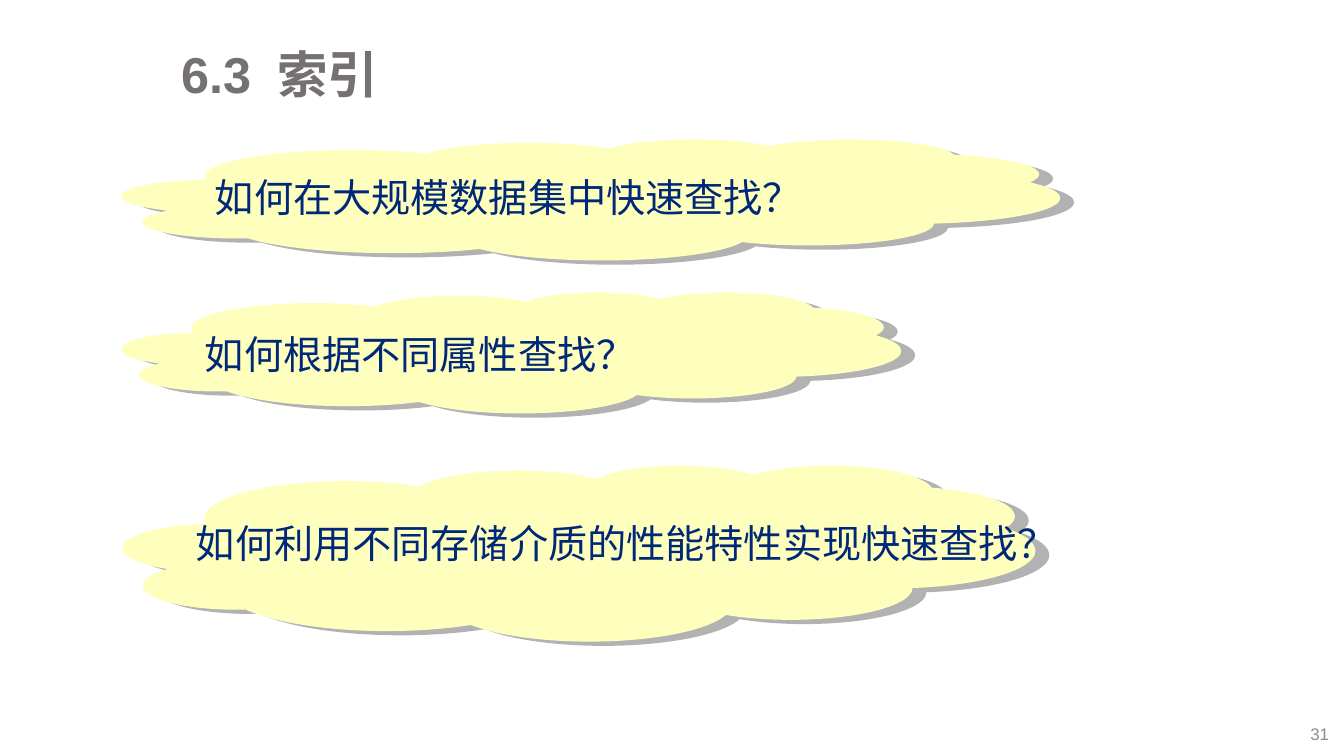
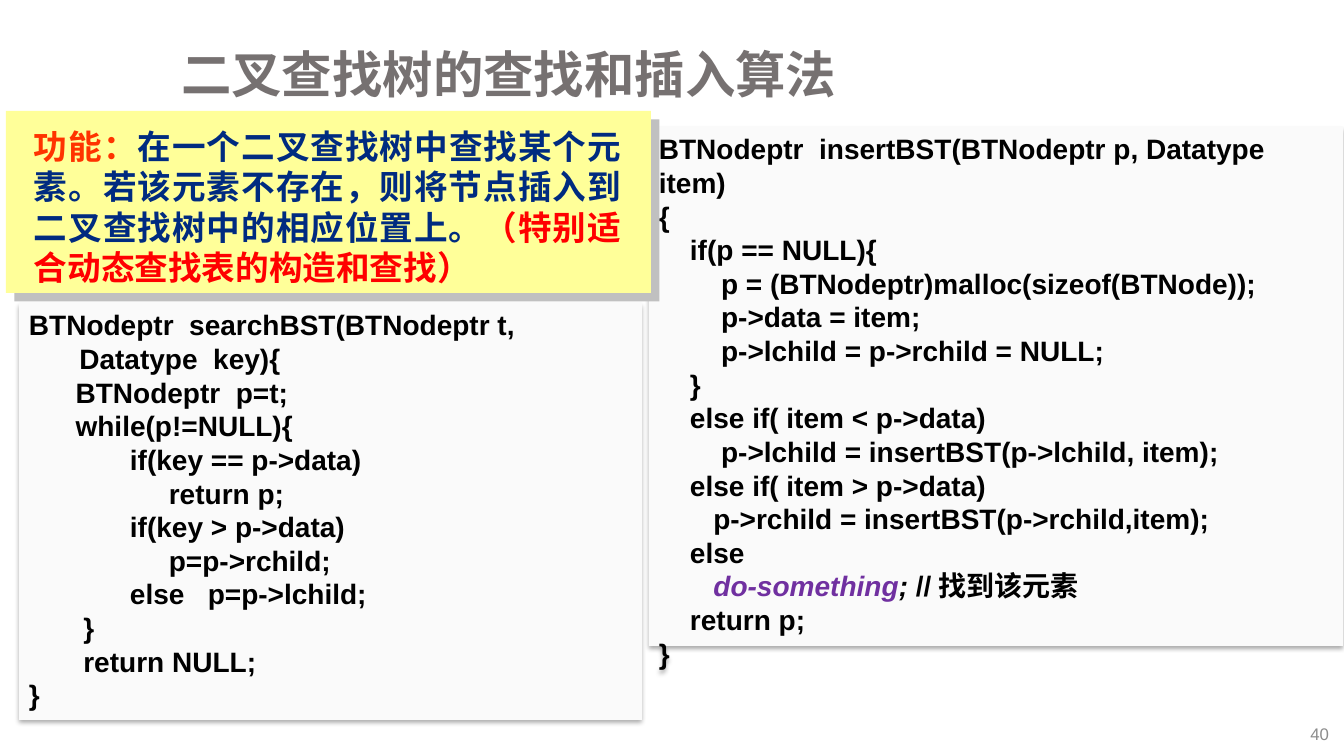
import pptx
import pptx.util
import pptx.dml.color
import pptx.enum.shapes
import pptx.enum.text
import pptx.oxml.ns
import lxml.etree

RGB = pptx.dml.color.RGBColor
SHAPE = pptx.enum.shapes.MSO_SHAPE
ALIGN = pptx.enum.text.PP_ALIGN
ANCHOR = pptx.enum.text.MSO_ANCHOR
qn = pptx.oxml.ns.qn

# Scale, colours and fonts
EMU_PER_PX = 914400 / 100.8
TITLE_GREY = RGB(0x76, 0x71, 0x71)
NUMBER_GREY = RGB(0x8C, 0x8C, 0x8C)
NAVY = RGB(0x00, 0x28, 0x78)
DEEP_BLUE = RGB(0x00, 0x2B, 0x80)
ORANGE = RGB(0xFF, 0x33, 0x00)
RED = RGB(0xFF, 0x00, 0x00)
PURPLE = RGB(0x70, 0x30, 0xA0)
BLACK = RGB(0x00, 0x00, 0x00)
CLOUD_YELLOW = RGB(0xFF, 0xFF, 0xBD)
NOTE_YELLOW = RGB(0xFF, 0xFF, 0x99)
CODE_GREY = RGB(0xFA, 0xFA, 0xFA)
LATIN = "Arial"
CJK = "Noto Sans CJK SC"

# Shadows: colour, opacity %, blur pt, distance pt, direction in degrees
CLOUD_SHADOW = ("B2B2B2", 100, 0, 10.4, 17)
NOTE_SHADOW = ("C0C0C0", 100, 0, 8.5, 45)
CODE_SHADOW = ("000000", 32, 3.5, 2.2, 90)

# Shared places: left, top, width, height in px
TITLE_AREA = (171, 34, 1134, 86)
NUMBER_AREA = (1037, 718, 302, 31)

# Slide content
QUESTIONS = [  # text, cloud area, text area
    ("如何在大规模数据集中快速查找？", (122, 139, 938, 121), (205, 168, 831, 57)),
    ("如何根据不同属性查找？", (122, 292, 779, 121), (195, 325, 730, 57)),
    ("如何利用不同存储介质的性能特性实现快速查找？",
     (123, 465, 912, 176), (186, 514, 867, 57)),
]

NOTE_AREA = (6, 111, 645, 182)
NOTE_TEXT_AREA = (24, 121, 607, 173)
NOTE = [  # text, colour, italic
    ("功能：", ORANGE, False),
    ("在一个二叉查找树中查找某个元素。若该元素不存在，则将节点插入到二叉查找树中的相应位置上。",
     DEEP_BLUE, False),
    ("（特别适合动态查找表的构造和查找）", RED, False),
]

SEARCH_AREA = (19, 303, 623, 417)
SEARCH_CODE = [
    "BTNodeptr  searchBST(BTNodeptr t,\n\tDatatype  key){",
    "      BTNodeptr  p=t;",
    "      while(p!=NULL){",
    "             if(key == p->data)",
    "                  return p;",
    "             if(key > p->data)",
    "                  p=p->rchild;",
    "             else   p=p->lchild;",
    "       }",
    "       return NULL;",
    "}",
]

INSERT_AREA = (649, 127, 694, 519)
INSERT_CODE = [
    "BTNodeptr  insertBST(BTNodeptr p, Datatype item)",
    "{",
    "    if(p == NULL){",
    "        p = (BTNodeptr)malloc(sizeof(BTNode));",
    "        p->data = item;",
    "        p->lchild = p->rchild = NULL;",
    "    }",
    "    else if( item < p->data)",
    "        p->lchild = insertBST(p->lchild, item);",
    "    else if( item > p->data)",
    "       p->rchild = insertBST(p->rchild,item);",
    "    else",
    [("       ", PURPLE, False), ("do-something", PURPLE, True),
     (";", BLACK, True), (" //找到该元素", BLACK, False)],
    "    return p;",
    "}",
]


def px(area):
    return [round(length * EMU_PER_PX) for length in area]


def write(frame, lines, size, color, font=LATIN, bold=False,
          align=ALIGN.LEFT, anchor=ANCHOR.TOP):
    """Fill a frame; a line is a string or a list of spans."""
    frame.word_wrap = True
    frame.vertical_anchor = anchor
    for index, line in enumerate(lines):
        para = frame.paragraphs[0] if index == 0 else frame.add_paragraph()
        para.alignment = align
        para.font.name = font
        para.font.size = pptx.util.Pt(size)
        para.font.bold = bold
        para.font.color.rgb = color
        east_asian = lxml.etree.Element(qn("a:ea"), typeface=CJK)
        para._p.pPr.find(qn("a:defRPr")).find(qn("a:latin")).addnext(east_asian)
        if isinstance(line, str):
            para.text = line
            continue
        for text, span_color, italic in line:
            span = para.add_run()
            span.text = text
            span.font.color.rgb = span_color
            span.font.italic = italic


def add_text(page, area, lines, size, color, **style):
    box = page.shapes.add_textbox(*px(area))
    write(box.text_frame, lines, size, color, **style)


def add_panel(page, kind, area, fill, shadow):
    """Add a borderless filled shape with an outer shadow."""
    panel = page.shapes.add_shape(kind, *px(area))
    panel.fill.solid()
    panel.fill.fore_color.rgb = fill
    panel.line.fill.background()
    panel.shadow.inherit = False
    color, opacity, blur, distance, angle = shadow
    effects = panel._element.spPr.find(qn("a:effectLst"))
    outer = lxml.etree.SubElement(
        effects, qn("a:outerShdw"), blurRad=str(pptx.util.Pt(blur)),
        dist=str(pptx.util.Pt(distance)), dir=str(angle * 60000),
        algn="ctr", rotWithShape="0")
    tint = lxml.etree.SubElement(outer, qn("a:srgbClr"), val=color)
    lxml.etree.SubElement(tint, qn("a:alpha"), val=str(opacity * 1000))
    return panel


def add_code(page, area, lines):
    panel = add_panel(page, SHAPE.RECTANGLE, area, CODE_GREY, CODE_SHADOW)
    write(panel.text_frame, lines, 20, BLACK, bold=True)


def add_page(deck, heading, number):
    """Add a slide with the shared title and page number."""
    page = deck.slides.add_slide(deck.slide_layouts[5])
    title = page.shapes.title
    title.left, title.top, title.width, title.height = px(TITLE_AREA)
    write(title.text_frame, [heading], 36, TITLE_GREY, bold=True,
          anchor=ANCHOR.MIDDLE)
    title.text_frame.paragraphs[0].line_spacing = 0.9
    add_text(page, NUMBER_AREA, [number], 12, NUMBER_GREY,
             align=ALIGN.RIGHT, anchor=ANCHOR.MIDDLE)
    return page


def build_questions(deck):
    page = add_page(deck, "6.3 索引", "31")
    for question, cloud_area, text_area in QUESTIONS:
        cloud = add_panel(page, SHAPE.CLOUD_CALLOUT, cloud_area,
                          CLOUD_YELLOW, CLOUD_SHADOW)
        cloud.adjustments[0], cloud.adjustments[1] = -0.2, 0.17
        add_text(page, text_area, [question], 28, NAVY, font=CJK)


def build_algorithms(deck):
    page = add_page(deck, "二叉查找树的查找和插入算法", "40")
    add_code(page, INSERT_AREA, INSERT_CODE)
    add_panel(page, SHAPE.RECTANGLE, NOTE_AREA, NOTE_YELLOW, NOTE_SHADOW)
    add_text(page, NOTE_TEXT_AREA, [NOTE], 24, DEEP_BLUE, font=CJK,
             bold=True, align=ALIGN.JUSTIFY)
    add_code(page, SEARCH_AREA, SEARCH_CODE)


def main():
    deck = pptx.Presentation()
    deck.slide_width, deck.slide_height = px((1344, 756))
    build_questions(deck)
    build_algorithms(deck)
    deck.save("out.pptx")


if __name__ == "__main__":
    main()
